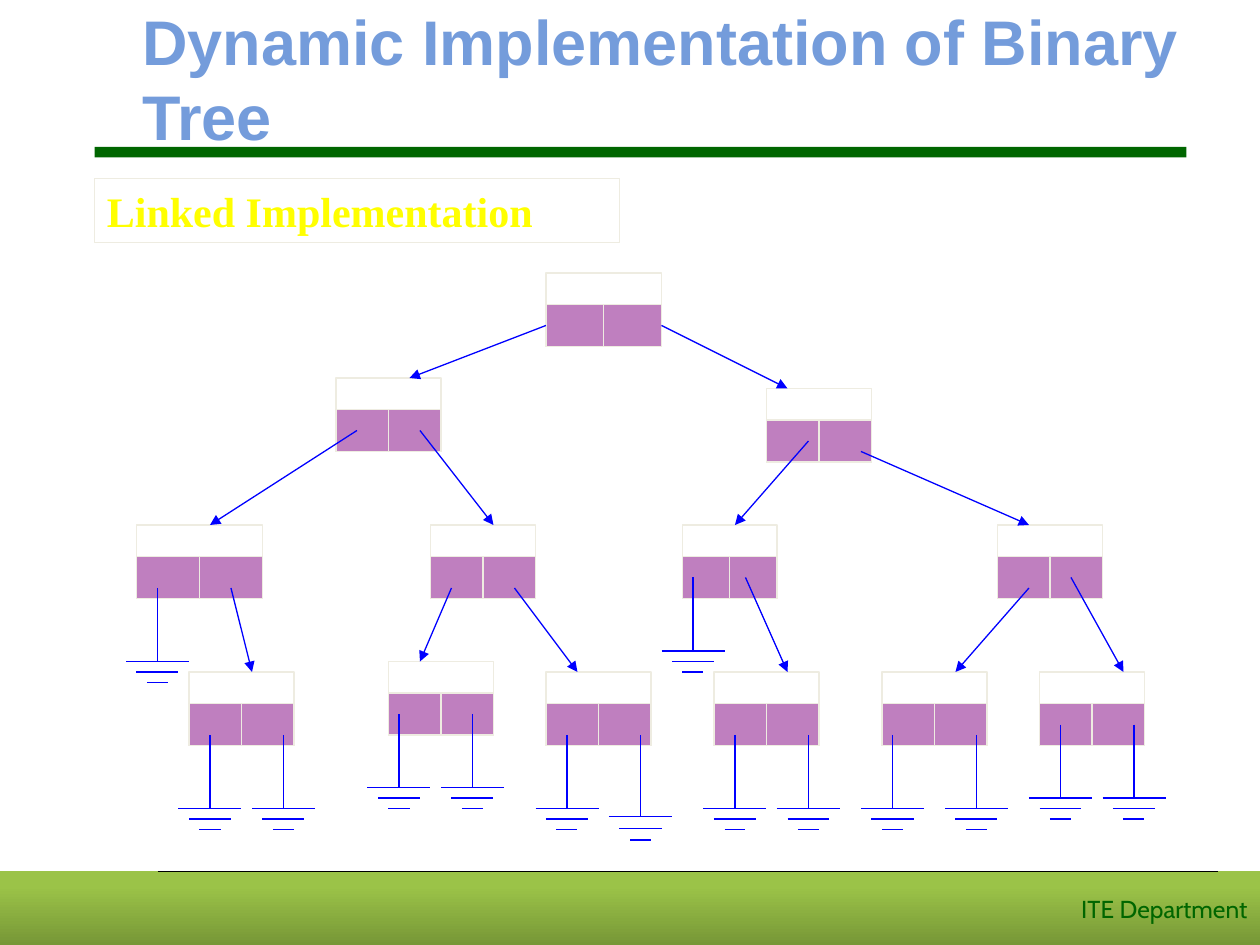
from lxml.etree import SubElement
from pptx import Presentation
from pptx.dml.color import RGBColor as RGB
from pptx.enum.shapes import MSO_CONNECTOR as Connector, MSO_SHAPE as Preset
from pptx.enum.text import MSO_ANCHOR as Anchor, PP_ALIGN as Align
from pptx.oxml.ns import qn
from pptx.util import Pt

TITLE = "Dynamic Implementation of Binary Tree"
SUBTITLE = "Linked Implementation"
FOOTER = "ITE Department"

NODES = {
    "root": (312, 156, 66),
    "L": (192, 216, 60),
    "R": (438, 222, 60),
    "LL": (78, 300, 72),
    "LR": (246, 300, 60),
    "RL": (390, 300, 54),
    "RR": (570, 300, 60),
    "LLR": (108, 384, 60),
    "LRL": (222, 378, 60),
    "LRR": (312, 384, 60),
    "RLR": (408, 384, 60),
    "RRL": (504, 384, 60),
    "RRR": (594, 384, 60),
}
LINKS = [
    ("root", 0, (312, 186), (234, 216)),
    ("root", 1, (378, 186), (450, 222)),
    ("L", 0, (204, 246), (120, 300)),
    ("L", 1, (240, 246), (282, 300)),
    ("R", 0, (462, 252), (420, 300)),
    ("R", 1, (492, 258), (588, 300)),
    ("LL", 1, (132, 336), (144, 384)),
    ("LR", 0, (258, 336), (240, 378)),
    ("LR", 1, (294, 336), (330, 384)),
    ("RL", 1, (426, 330), (450, 384)),
    ("RR", 0, (588, 336), (546, 384)),
    ("RR", 1, (612, 330), (642, 384)),
]
GROUNDS = [
    (90, 336, 1), (396, 330, 1),
    (120, 420, 1), (162, 420, 1),
    (228, 408, 1), (270, 408, 1),
    (324, 420, 1), (366, 420, 1.11),
    (420, 420, 1), (462, 420, 1),
    (510, 420, 1), (558, 420, 1),
    (606, 414, 1), (648, 414, 1),
]
NODE_HEIGHT, CELL_HEIGHT = 42, 24
STEM, BAR_GAP, BAR_HALF_WIDTHS = 42, 6, (18, 12, 6)

THEME = {
    "title": ("Arial", 36, "749CDB", True),
    "subtitle": ("Times New Roman", 24, "FFFF00", True),
    "footer": ("Cabin", 14, "006600", False),
    "footer_stops": ((0, "779737"), (0.8, "9BC348")),
    "rule": "006600",
    "baseline": "000000",
    "node": "FFFFFF",
    "cell": "800080",
    "outline": "EEECE1",
    "pointer": "0000FF",
    "line_width": 0.75,
}


def add_box(shapes, left, top, width, height, fill=None, outline=None):
    shape = shapes.add_shape(Preset.RECTANGLE, Pt(left), Pt(top), Pt(width), Pt(height))
    shape.shadow.inherit = False
    if fill:
        shape.fill.solid()
        shape.fill.fore_color.rgb = RGB.from_string(fill)
    else:
        shape.fill.background()
    if outline:
        shape.line.color.rgb = RGB.from_string(outline)
        shape.line.width = Pt(THEME["line_width"])
    else:
        shape.line.fill.background()
    return shape


def add_line(shapes, start, end, color, arrow=False):
    line = shapes.add_connector(Connector.STRAIGHT, *map(Pt, start + end))
    line.line.color.rgb = RGB.from_string(color)
    line.line.width = Pt(THEME["line_width"])
    properties = line._element.spPr
    outline = properties.find(qn("a:ln"))
    SubElement(outline, qn("a:round"))
    if arrow:
        SubElement(outline, qn("a:tailEnd"), type="triangle")
    SubElement(properties, qn("a:effectLst"))
    return line


def write(shape, text, style, align=Align.LEFT):
    name, size, color, bold = THEME[style]
    frame = shape.text_frame
    frame.text = text
    frame.word_wrap = True
    frame.vertical_anchor = Anchor.MIDDLE
    paragraph = frame.paragraphs[0]
    paragraph.alignment = align
    font = paragraph.runs[0].font
    font.name, font.size, font.bold = name, Pt(size), bold
    font.color.rgb = RGB.from_string(color)
    return frame


def add_node(slide, left, top, width):
    shapes = slide.shapes.add_group_shape().shapes
    add_box(shapes, left, top, width, NODE_HEIGHT, THEME["node"], THEME["outline"])
    cells = []
    for column in range(2):
        cell = add_box(shapes, left + column * width / 2, top + NODE_HEIGHT - CELL_HEIGHT,
                       width / 2, CELL_HEIGHT, THEME["cell"], THEME["outline"])
        color = cell._element.spPr.find(qn("a:solidFill")).find(qn("a:srgbClr"))
        SubElement(color, qn("a:alpha"), val="50000")
        cells.append(cell)
    return cells


def add_link(slide, cell, start, end):
    line = add_line(slide.shapes, start, end, THEME["pointer"], arrow=True)
    middle = cell.top + cell.height // 2
    for site, edge in ((1, cell.left), (3, cell.left + cell.width)):
        if (edge, middle) == (Pt(start[0]), Pt(start[1])):
            line.begin_connect(cell, site)


def add_ground(slide, x, top, stretch):
    shapes = slide.shapes.add_group_shape().shapes
    y = top + STEM * stretch
    add_line(shapes, (x, top), (x, y), THEME["pointer"])
    for half in BAR_HALF_WIDTHS:
        add_line(shapes, (x - half, y), (x + half, y), THEME["pointer"])
        y += BAR_GAP * stretch


def add_frame(slide):
    footer = add_box(slide.shapes, 0, 498, 720, 42)
    footer.fill.gradient()
    footer.fill.gradient_angle = 90
    for stop, (position, color) in zip(footer.fill.gradient_stops, THEME["footer_stops"]):
        stop.position = position
        stop.color.rgb = RGB.from_string(color)
    write(footer, FOOTER, "footer", Align.RIGHT)
    add_line(slide.shapes, (90, 498), (696, 498), THEME["baseline"])
    add_box(slide.shapes, 54, 84, 624, 6, THEME["rule"])

    title = slide.shapes.add_textbox(Pt(36), Pt(0), Pt(648), Pt(89))
    write(title, TITLE, "title").margin_left = Pt(45.4)
    subtitle = add_box(slide.shapes, 54, 102, 300, 36.5, outline=THEME["outline"])
    frame = write(subtitle, SUBTITLE, "subtitle")
    frame.margin_top, frame.margin_bottom = Pt(0.6), Pt(0)


def main():
    presentation = Presentation()
    presentation.slide_width, presentation.slide_height = Pt(720), Pt(540)
    slide = presentation.slides.add_slide(presentation.slide_layouts[6])
    add_frame(slide)
    cells = {name: add_node(slide, *place) for name, place in NODES.items()}
    for name, column, start, end in LINKS:
        add_link(slide, cells[name][column], start, end)
    for ground in GROUNDS:
        add_ground(slide, *ground)
    presentation.save("out.pptx")


if __name__ == "__main__":
    main()
